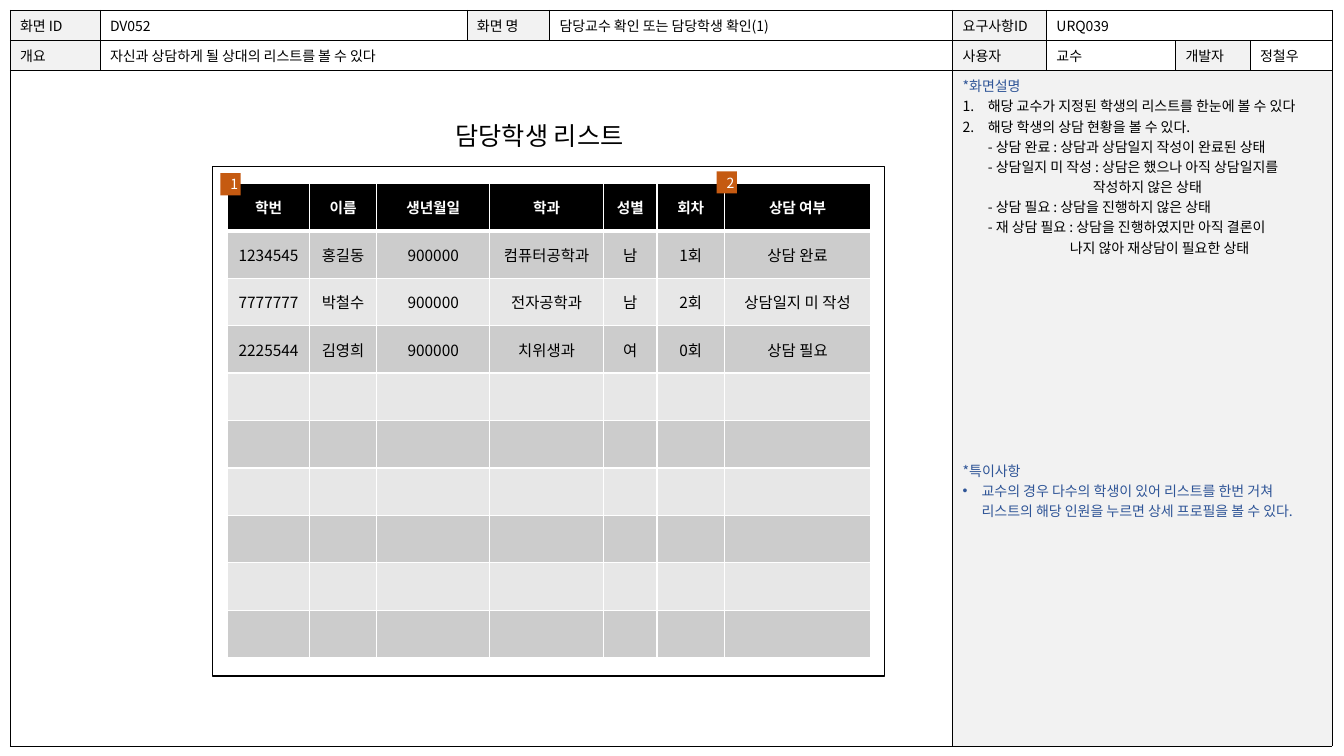
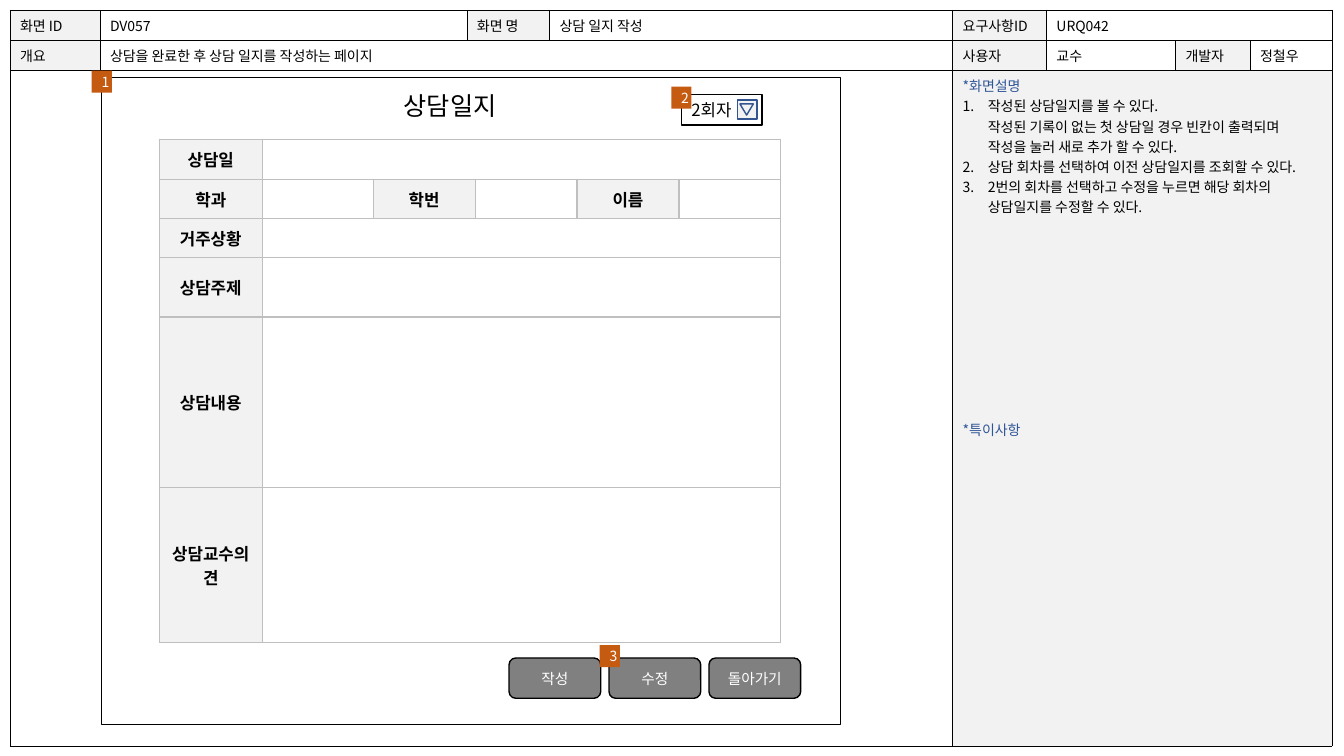
from lxml.etree import SubElement as sub
from pptx import Presentation
from pptx.dml.color import RGBColor as RGB
from pptx.enum.shapes import MSO_SHAPE as KIND
from pptx.enum.text import MSO_ANCHOR as ANCHOR, MSO_AUTO_SIZE as FIT, PP_ALIGN as ALIGN
from pptx.oxml.ns import qn
from pptx.util import Pt

FONT = "Noto Sans CJK KR"
BLACK = RGB(0x00, 0x00, 0x00)
WHITE = RGB(0xFF, 0xFF, 0xFF)
PALE = RGB(0xF2, 0xF2, 0xF2)
SILVER = RGB(0xBF, 0xBF, 0xBF)
GRAY = RGB(0x80, 0x80, 0x80)
BANDS = (RGB(0xE7, 0xE7, 0xE7), RGB(0xCC, 0xCC, 0xCC))
BLUE = RGB(0x2F, 0x55, 0x97)
NAVY = RGB(0x32, 0x54, 0x91)
RUST = RGB(0xC5, 0x5A, 0x11)
LABELS = ("화면 ID", "화면 명", "요구사항ID", "개요", "사용자", "개발자")


def ink(paras, size, color, bold=False, align=ALIGN.LEFT):
    """Format every run of the given paragraphs."""
    for para in paras:
        para.alignment = align
        for run in para.runs:
            font = run.font
            font.name, font.size, font.bold = FONT, Pt(size), bold
            font.color.rgb = color
            sub(run._r.get_or_add_rPr(), qn("a:ea"), typeface=FONT)


def grid(slide, left, top, cols, tall, rows, look, line, thin, rule, align):
    """Draw a table; None joins a cell to its left neighbour."""
    table = slide.shapes.add_table(len(rows), len(cols), Pt(left), Pt(top),
                                   Pt(sum(cols)), Pt(sum(tall))).table
    table.first_row = table.horz_banding = False
    for col, wide in zip(table.columns, cols):
        col.width = Pt(wide)
    for r, row in enumerate(rows):
        table.rows[r].height = Pt(tall[r])
        for c, text in enumerate(row):
            cell = table.cell(r, c)
            props = cell._tc.get_or_add_tcPr()
            for side in ("lnL", "lnR", "lnT", "lnB"):
                head = (side, r) in (("lnB", 0), ("lnT", 1))
                edge = sub(props, qn("a:" + side), w=str(int(Pt(rule if head else thin))))
                sub(sub(edge, qn("a:solidFill")), qn("a:srgbClr"), val=str(line))
            fill, size, color, bold = look(r, c, text)
            cell.fill.solid()
            cell.fill.fore_color.rgb = fill
            if align == ALIGN.CENTER:
                cell.vertical_anchor = ANCHOR.MIDDLE
            if text:
                cell.text_frame.text = text
                ink(cell.text_frame.paragraphs, size, color, bold, align)
            else:
                cell.margin_top = cell.margin_bottom = 0
        for c, text in enumerate(row):
            end = c
            while end + 1 < len(row) and row[end + 1] is None:
                end += 1
            if text is not None and end > c:
                table.cell(r, c).merge(table.cell(r, end))
    return table


def_rows = [
    ["학번", "이름", "생년월일", "학과", "성별", "회차", "상담 여부"],
    ["1234545", "홍길동", "900000", "컴퓨터공학과", "남", "1회", "상담 완료"],
    ["7777777", "박철수", "900000", "전자공학과", "남", "2회", "상담일지 미 작성"],
    ["2225544", "김영희", "900000", "치위생과", "여", "0회", "상담 필요"],
] + [[""] * 7 for _ in range(6)]

span = ["", None, None, None, None]
form_rows = [["상담일"] + span, ["학과", "", "학번", "", "이름", ""]]
form_rows += [[name] + span for name in ("거주상황", "상담주제", "상담내용", "상담교수의견")]

# Notes: text, bullet (number, sign or None), left indent, hanging indent
# Boxes: kind, left, top, width, height, fill, line, text, size, colour, turn
pages = [
    dict(
        id="DV052", name="담당교수 확인 또는 담당학생 확인(1)", req="URQ039",
        about="자신과 상담하게 될 상대의 리스트를 볼 수 있다",
        notes=[
            ("해당 교수가 지정된 학생의 리스트를 한눈에 볼 수 있다", 1, 18, 18),
            ("해당 학생의 상담 현황을 볼 수 있다.", 2, 18, 18),
            ("- 상담 완료 : 상담과 상담일지 작성이 완료된 상태", None, 18, 0),
            ("- 상담일지 미 작성 : 상담은 했으나 아직 상담일지를", None, 18, 0),
            ("작성하지 않은 상태", None, 93, 0),
            ("- 상담 필요 : 상담을 진행하지 않은 상태", None, 18, 0),
            ("- 재 상담 필요 : 상담을 진행하였지만 아직 결론이", None, 18, 0),
            ("나지 않아 재상담이 필요한 상태", None, 76.5, 0),
        ],
        extra=[("교수의 경우 다수의 학생이 있어 리스트를 한번 거쳐 "
                "리스트의 해당 인원을 누르면 상세 프로필을 볼 수 있다.", "•", 13.5, 13.5)],
        frame=(152, 119, 480, 364),
        title="담당학생 리스트", spot=(318.2, 82, 148.5, 29),
        grid=(162.7, 131, [58.3, 48.2, 80.6, 81.4, 38.2, 48.2, 104.4], [33.9] * 10, def_rows,
              lambda r, c, t: (BANDS[r % 2], 11, BLACK, False) if r
              else (BLACK, 10.5, WHITE, True), WHITE, 1, 3),
        boxes=[],
        tags=[(157.5, 123.7), (512, 122.4)],
    ),
    dict(
        id="DV057", name="상담 일지 작성", req="URQ042",
        about="상담을 완료한 후 상담 일지를 작성하는 페이지",
        notes=[
            ("작성된 상담일지를 볼 수 있다.", 1, 18, 18),
            ("작성된 기록이 없는 첫 상담일 경우 빈칸이 출력되며", None, 18, 0),
            ("작성을 눌러 새로 추가 할 수 있다.", None, 18, 0),
            ("상담 회차를 선택하여 이전 상담일지를 조회할 수 있다.", 2, 18, 18),
            ("2번의 회차를 선택하고 수정을 누르면 해당 회차의 "
             "상담일지를 수정할 수 있다.", 3, 18, 18),
        ],
        extra=[],
        frame=(72.5, 55.4, 527.7, 462.2),
        title="상담일지", spot=(281.2, 61, 87.5, 29),
        grid=(113.8, 99.5, [73.5, 79.3] + [72.8] * 4, [28.5, 28, 28, 42.5, 122, 110.5],
              form_rows, lambda r, c, t: (PALE if t else WHITE, 12, BLACK, True), SILVER, 1, 1),
        boxes=[(KIND.ROUNDED_RECTANGLE, 363.6 + 71.4 * i, 470, 65.5, 28.8, GRAY, BLACK,
                word, 10.5, WHITE, 0) for i, word in enumerate(("작성", "수정", "돌아가기"))]
        + [(KIND.RECTANGLE, 486.7, 67.7, 57.6, 21.6, WHITE, BLACK, "2회자", 12, BLACK, 0),
           (KIND.RECTANGLE, 527, 71.3, 13.7, 13.7, PALE, NAVY, "", 12, BLACK, 0),
           (KIND.ISOSCELES_TRIANGLE, 528.5, 74.2, 9.6, 8, PALE, NAVY, "", 12, BLACK, 180)],
        tags=[(65.5, 50.4), (479.5, 61.9), (428.4, 460.8)],
    ),
]

deck = Presentation()
deck.slide_width, deck.slide_height = Pt(960), Pt(540)

for page in pages:
    slide = deck.slides.add_slide(deck.slide_layouts[5])
    sheet = grid(
        slide, 7.2, 7.2, [64.2, 262.1, 59, 288, 67, 92.2, 53.3, 58.4], [21.6, 21.6, 482.4],
        [["화면 ID", page["id"], "화면 명", page["name"], "요구사항ID", page["req"], None, None],
         ["개요", page["about"], None, None, "사용자", "교수", "개발자", "정철우"],
         ["", None, None, None, "", None, None, None]],
        lambda r, c, t: (PALE if t in LABELS or (r == 2 and c > 3) else WHITE, 10, BLACK, False),
        BLACK, 0.5, 0.5, ALIGN.LEFT)

    notes = sheet.cell(2, 4)
    notes.margin_top = Pt(3.6)
    lines = [("*화면설명", None, 0, 0)] + page["notes"]
    second = len(lines)
    lines += [("*특이사항", None, 0, 0)] + page["extra"]
    for i, (text, mark, left, hang) in enumerate(lines):
        para = notes.text_frame.paragraphs[0] if i == 0 else notes.text_frame.add_paragraph()
        para.text = text
        ink([para], 10, BLUE if i == 0 or i >= second else BLACK)
        if i == second:
            para.space_before = Pt(145)
        props = para._p.get_or_add_pPr()
        props.set("marL", str(int(Pt(left))))
        props.set("indent", str(int(-Pt(hang))))
        if mark == "•":
            sub(props, qn("a:buFont"), typeface="Arial")
            sub(props, qn("a:buChar"), char=mark)
        elif mark:
            sub(props, qn("a:buAutoNum"), type="arabicPeriod", startAt=str(mark))

    frame = (KIND.RECTANGLE, *page["frame"], WHITE, BLACK, "", 10, BLACK, 0)
    tags = [(KIND.RECTANGLE, x, y, 14.4, 15.8, RUST, None, str(n), 10, WHITE, 0)
            for n, (x, y) in enumerate(page["tags"], 1)]
    for i, box in enumerate([frame] + page["boxes"] + tags):
        kind, x, y, wide, tall, fill, line, text, size, color, turn = box
        shape = slide.shapes.add_shape(kind, Pt(x), Pt(y), Pt(wide), Pt(tall))
        shape.shadow.inherit = False
        shape.rotation = turn
        shape.fill.solid()
        shape.fill.fore_color.rgb = fill
        if line is None:
            shape.line.fill.background()
        else:
            shape.line.color.rgb = line
            shape.line.width = Pt(1)
        if text:
            shape.text_frame.text = text
            align = ALIGN.LEFT if color == BLACK else ALIGN.CENTER
            ink(shape.text_frame.paragraphs, size, color, False, align)
        if i == 0:
            title = slide.shapes.title
            title.left, title.top, title.width, title.height = map(Pt, page["spot"])
            title.text_frame.text = page["title"]
            title.text_frame.auto_size = FIT.NONE
            title.text_frame.vertical_anchor = ANCHOR.TOP
            ink(title.text_frame.paragraphs, 18, BLACK)
            shape.element.addnext(title.element)
            grid(slide, *page["grid"], ALIGN.CENTER)

deck.save("out.pptx")
